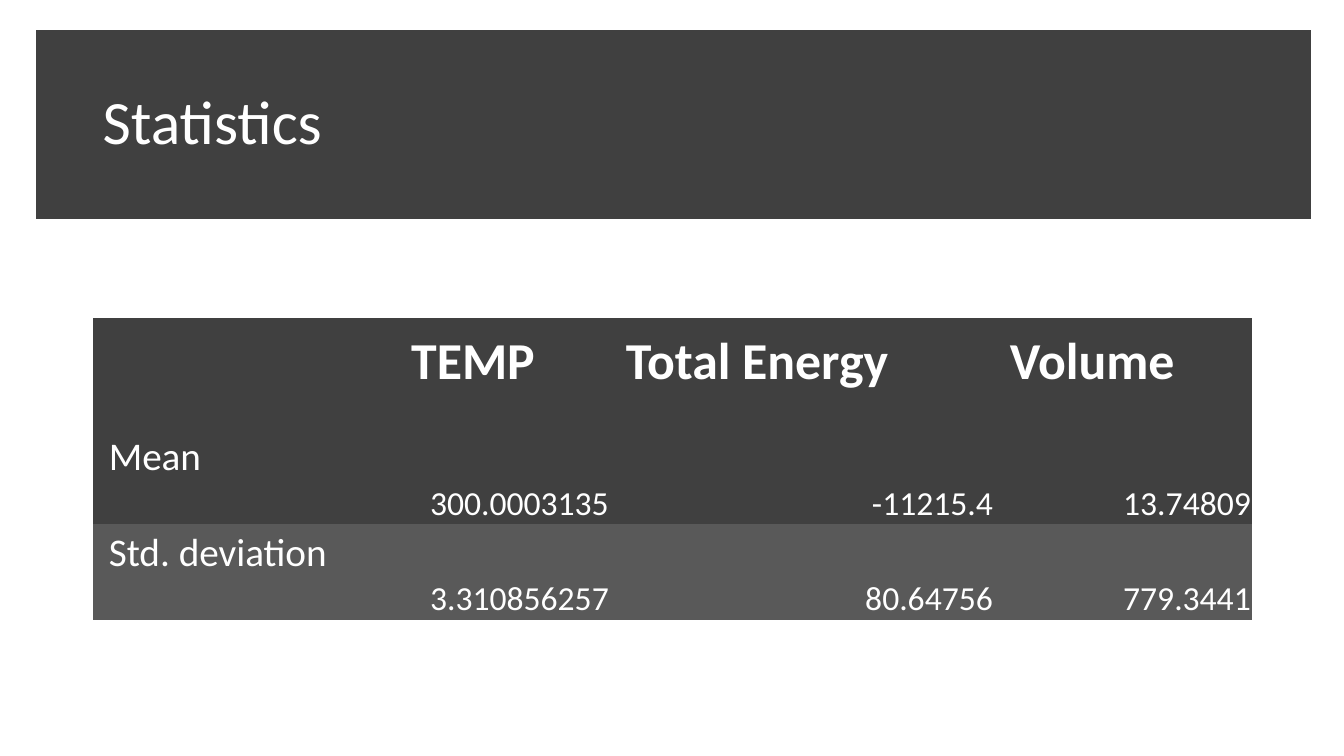
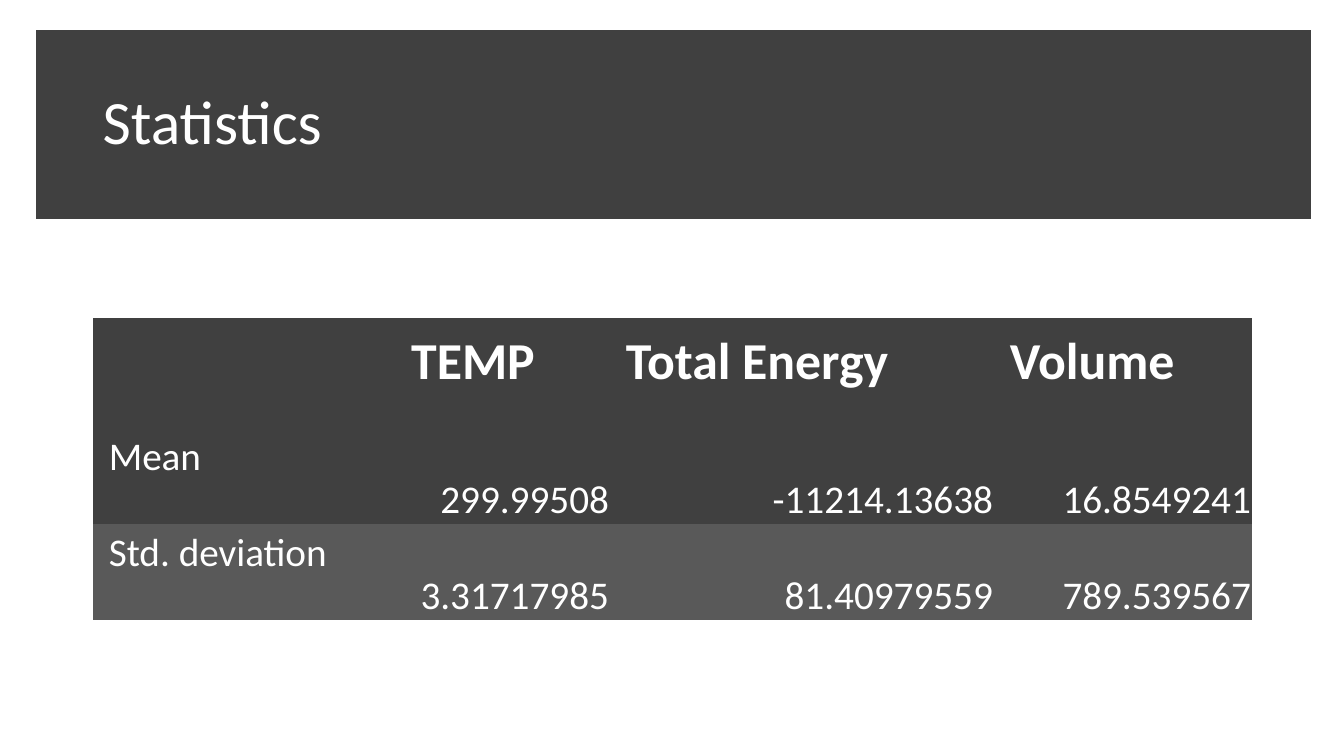
from dataclasses import dataclass

import pptx
import pptx.dml.color
import pptx.enum.shapes
import pptx.enum.text
import pptx.oxml
import pptx.oxml.ns
import pptx.util

Pt = pptx.util.Pt
RGBColor = pptx.dml.color.RGBColor
Align = pptx.enum.text.PP_ALIGN
Anchor = pptx.enum.text.MSO_ANCHOR

TITLE = "Statistics"
HEADERS = ("", "TEMP", "Total Energy", "Volume")
SLIDES = [
    {
        "value_size": 24,
        "rows": [
            ("Mean", "300.0003135", "-11215.4", "13.74809"),
            ("Std. deviation", "3.310856257", "80.64756", "779.3441"),
        ],
    },
    {
        "value_size": 28,
        "rows": [
            ("Mean", "299.99508", "-11214.13638", "16.8549241"),
            ("Std. deviation", "3.31717985", "81.40979559", "789.539567"),
        ],
    },
]


@dataclass(frozen=True)
class Theme:
    font: str = "Calibri"
    dark: str = "404040"
    light: str = "595959"
    white: str = "FFFFFF"
    title_size: int = 44
    header_size: int = 37
    label_size: int = 28


THEME = Theme()
BAND = (31, 26.6, 900.7, 124.6)
BAND_LINE = 10
TITLE_BOX = (66.24, 36.7, 828, 104.4)
TABLE_BOX = (66.24, 226.8, 828, 216)
COLUMN_WIDTHS = (216, 153.4, 274.3, 184.3)
ROW_HEIGHTS = (79.2, 68.4, 68.4)
WIDE_MARGINS = (11.5, 3.6, 16.6, 25.2)
TIGHT_MARGINS = (0.7, 0.7, 0.7, 0)
PLAIN_TABLE_STYLE = "{2D5ABB26-0587-4C30-8999-92F81FD0307C}"


def points(lengths):
    return [Pt(length) for length in lengths]


def xml_element(markup):
    name, rest = markup.split(" ", 1) if " " in markup else (markup, "")
    return pptx.oxml.parse_xml(f"<{name} {pptx.oxml.ns.nsdecls('a')} {rest}")


def style_paragraph(paragraph, size, bold=False, align=Align.LEFT):
    paragraph.alignment = align
    font = paragraph.font
    font.name = THEME.font
    font.size = Pt(size)
    font.bold = bold
    font.color.rgb = RGBColor.from_string(THEME.white)


def set_margins(target, margins):
    (target.margin_left, target.margin_top,
     target.margin_right, target.margin_bottom) = points(margins)


def add_title_band(slide):
    band = slide.shapes.add_shape(
        pptx.enum.shapes.MSO_SHAPE.RECTANGLE, *points(BAND))
    band.shadow.inherit = False
    color = RGBColor.from_string(THEME.dark)
    band.fill.solid()
    band.fill.fore_color.rgb = color
    band.line.color.rgb = color
    band.line.width = Pt(BAND_LINE)
    band.line._get_or_add_ln().append(xml_element('a:miter lim="800000"/>'))

    frame = slide.shapes.add_textbox(*points(TITLE_BOX)).text_frame
    frame.word_wrap = True
    frame.vertical_anchor = Anchor.MIDDLE
    frame.text = TITLE
    paragraph = frame.paragraphs[0]
    paragraph.line_spacing = 0.9
    style_paragraph(paragraph, THEME.title_size)


def add_left_border(cell):
    cell._tc.get_or_add_tcPr().insert(0, xml_element(
        f'a:lnL w="{Pt(1)}"><a:solidFill><a:srgbClr val="{THEME.white}"/>'
        "</a:solidFill></a:lnL>"))


def fill_cell(cell, text, row, column, value_size):
    cell.fill.solid()
    cell.fill.fore_color.rgb = RGBColor.from_string(
        THEME.light if row == 2 else THEME.dark)
    cell.text = text
    paragraph = cell.text_frame.paragraphs[0]
    is_header, is_label = row == 0, column == 0
    set_margins(cell, WIDE_MARGINS if is_header or is_label else TIGHT_MARGINS)
    cell.vertical_anchor = Anchor.TOP if is_label else Anchor.BOTTOM
    if is_header:
        style_paragraph(paragraph, THEME.header_size, bold=True)
    elif is_label:
        style_paragraph(paragraph, THEME.label_size)
        add_left_border(cell)
    else:
        style_paragraph(paragraph, value_size, align=Align.RIGHT)


def add_statistics_table(slide, rows, value_size):
    content = [HEADERS, *rows]
    table = slide.shapes.add_table(
        len(content), len(HEADERS), *points(TABLE_BOX)).table
    table.horz_banding = False
    table._tbl.tblPr.find(
        pptx.oxml.ns.qn("a:tableStyleId")).text = PLAIN_TABLE_STYLE
    for column, width in zip(table.columns, COLUMN_WIDTHS):
        column.width = Pt(width)
    for row, height in zip(table.rows, ROW_HEIGHTS):
        row.height = Pt(height)
    for row, texts in enumerate(content):
        for column, text in enumerate(texts):
            fill_cell(table.cell(row, column), text, row, column, value_size)


def main():
    presentation = pptx.Presentation()
    presentation.slide_width = Pt(960)
    presentation.slide_height = Pt(540)
    for content in SLIDES:
        slide = presentation.slides.add_slide(presentation.slide_layouts[6])
        add_title_band(slide)
        add_statistics_table(slide, content["rows"], content["value_size"])
    presentation.save("out.pptx")


if __name__ == "__main__":
    main()
